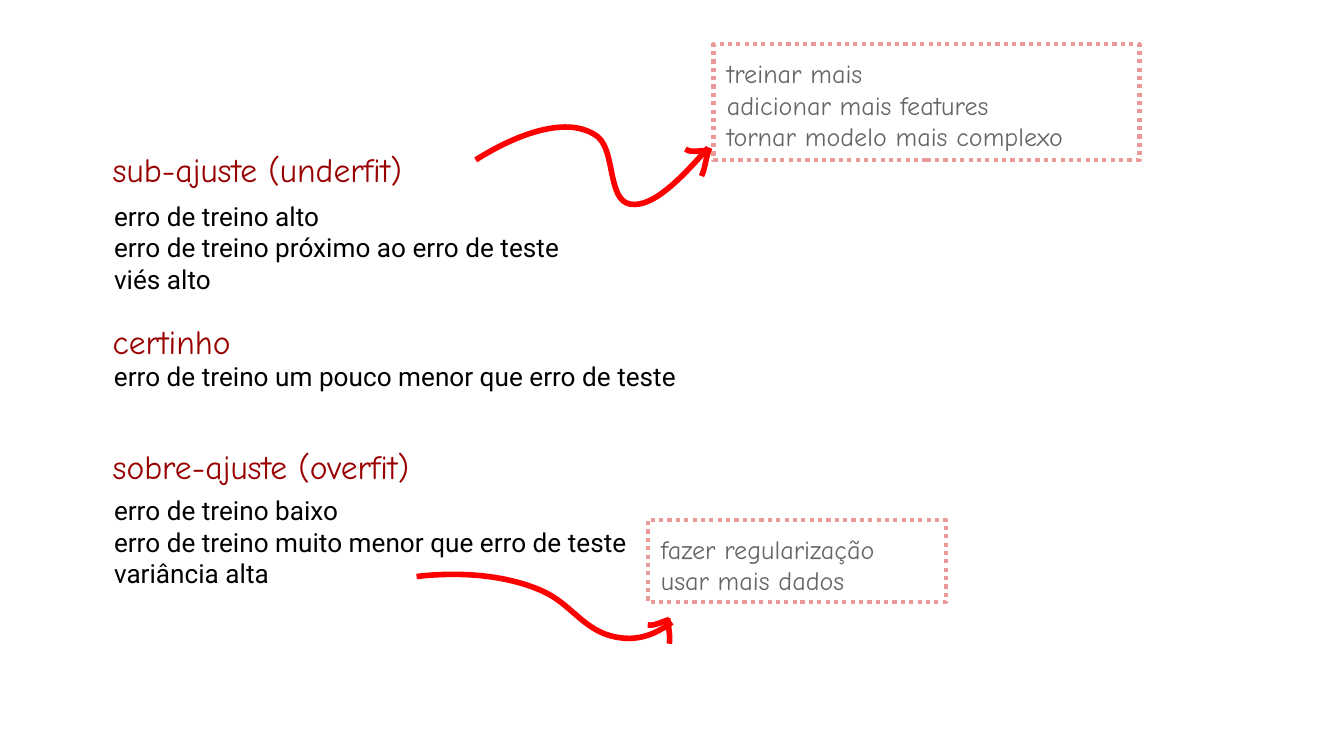
from dataclasses import dataclass

from lxml.etree import SubElement
from pptx import Presentation
from pptx.dml.color import RGBColor
from pptx.enum.dml import MSO_LINE_DASH_STYLE as Dash
from pptx.enum.shapes import MSO_SHAPE as ShapeKind
from pptx.enum.text import MSO_ANCHOR as Anchor, PP_ALIGN as Align
from pptx.oxml.ns import qn
from pptx.util import Pt

COLORS = {
    "heading": "990000",
    "body": "000000",
    "remedy": "666666",
    "border": "EA9999",
    "arrow": "FF0000",
}
HAND_FONT, BODY_FONT = "Comic Neue", "Roboto"
HEADING_SIZE, BODY_SIZE = 18, 14
INSET = 7.2
HEADING_LEFT, BODY_LEFT = 53.3, 54

Point = tuple[float, float]


@dataclass(frozen=True)
class TextBlock:
    """Paragraphs in a box; a newline inside a paragraph is a line break."""
    left: float
    top: float
    width: float
    height: float
    paragraphs: tuple[str, ...]


@dataclass(frozen=True)
class Curve:
    """A start point followed by three points per Bézier segment."""
    points: tuple[Point, ...]


HEADINGS = (
    TextBlock(HEADING_LEFT, 164.9, 92.2, 48.2, ("certinho",)),
    TextBlock(HEADING_LEFT, 231.8, 261.4, 43.9, ("sobre-ajuste (overfit)",)),
    TextBlock(HEADING_LEFT, 72.7, 257.8, 35.3, ("sub-ajuste (underfit)",)),
)
SYMPTOMS = (
    TextBlock(BODY_LEFT, 100.1, 293.8, 58.3, (
        "erro de treino alto",
        "erro de treino próximo ao erro de teste",
        "viés alto",
    )),
    TextBlock(BODY_LEFT, 185.8, 414.7, 48.2, (
        "erro de treino um pouco menor que erro de teste",
    )),
    TextBlock(BODY_LEFT, 257.8, 349.2, 61.9, (
        "erro de treino baixo",
        "erro de treino muito menor que erro de teste",
        "variância alta",
    )),
)
REMEDIES = (
    TextBlock(382.3, 23.8, 228.2, 61.9, (
        "treinar mais\nadicionar mais features",
        "tornar modelo mais complexo",
    )),
    TextBlock(347, 278.6, 159.8, 43.9, (
        "fazer regularização",
        "usar mais dados",
    )),
)
ARROW_STROKES = (
    # Underfit arrow: shaft and two barbs
    Curve(((254.9, 85.7), (276.5, 72), (304.6, 61.2), (320.4, 73.4),
           (329.8, 81.4), (325.4, 107.3), (337.7, 109.4),
           (350.6, 111.6), (367.2, 92.9), (379.4, 79.2))),
    Curve(((380.2, 79.2), (378, 84.2), (378, 90), (375.8, 94.3))),
    Curve(((378.7, 80.6), (375.1, 80.6), (370.8, 82.1), (367.2, 79.9))),
    # Overfit arrow: shaft and two barbs
    Curve(((223.2, 308.9), (241.2, 306.7), (268.6, 306.7), (290.9, 316.8),
           (305.3, 323.3), (311.8, 336.2), (326.9, 340.6),
           (342.7, 344.9), (352.8, 338.4), (360, 333.4))),
    Curve(((357.8, 331.2), (357.8, 335.5), (359.3, 340.6), (358.6, 344.9))),
    Curve(((358.6, 331.9), (355, 332.6), (351.4, 335.5), (347, 334.8))),
)


def rgb(name: str) -> RGBColor:
    return RGBColor.from_string(COLORS[name])


def write_text(shape, block: TextBlock, font_name: str, size: float, color: str) -> None:
    frame = shape.text_frame
    frame.word_wrap = True
    frame.vertical_anchor = Anchor.TOP
    frame.margin_left = frame.margin_right = Pt(INSET)
    frame.margin_top = frame.margin_bottom = Pt(INSET)
    for index, text in enumerate(block.paragraphs):
        paragraph = frame.add_paragraph() if index else frame.paragraphs[0]
        paragraph.alignment = Align.LEFT
        for line_index, line in enumerate(text.split("\n")):
            if line_index:
                paragraph.add_line_break()
            run = paragraph.add_run()
            run.text = line
            run.font.name = font_name
            run.font.size = Pt(size)
            run.font.color.rgb = rgb(color)


def box_lengths(block: TextBlock) -> tuple[Pt, ...]:
    return tuple(Pt(v) for v in (block.left, block.top, block.width, block.height))


def add_label(slide, block: TextBlock, font_name: str, size: float, color: str) -> None:
    write_text(slide.shapes.add_textbox(*box_lengths(block)), block, font_name, size, color)


def add_remedy(slide, block: TextBlock) -> None:
    shape = slide.shapes.add_shape(ShapeKind.RECTANGLE, *box_lengths(block))
    shape.shadow.inherit = False
    shape.fill.background()
    shape.line.color.rgb = rgb("border")
    shape.line.width = Pt(2.25)
    shape.line.dash_style = Dash.ROUND_DOT
    write_text(shape, block, HAND_FONT, BODY_SIZE, "remedy")


def add_curve(slide, curve: Curve) -> None:
    start, *controls = [(Pt(x), Pt(y)) for x, y in curve.points]
    builder = slide.shapes.build_freeform(*start)
    builder.add_line_segments(controls, close=False)
    shape = builder.convert_to_shape()
    shape.shadow.inherit = False
    shape.fill.background()
    shape.line.color.rgb = rgb("arrow")
    shape.line.width = Pt(3)

    # Turn each group of three straight steps into one Bézier segment
    outline = shape.element.find(".//" + qn("a:path"))
    steps = outline.findall(qn("a:lnTo"))
    for first in range(0, len(steps), 3):
        segment = SubElement(outline, qn("a:cubicBezTo"))
        for step in steps[first:first + 3]:
            segment.append(step[0])
            outline.remove(step)


def main() -> None:
    presentation = Presentation()
    presentation.slide_width, presentation.slide_height = Pt(720), Pt(405)
    slide = presentation.slides.add_slide(presentation.slide_layouts[6])

    # Headings and symptoms of each fit
    for block in HEADINGS:
        add_label(slide, block, HAND_FONT, HEADING_SIZE, "heading")
    for block in SYMPTOMS:
        add_label(slide, block, BODY_FONT, BODY_SIZE, "body")

    # Remedies and the hand-drawn arrows to them
    for block in REMEDIES:
        add_remedy(slide, block)
    for curve in ARROW_STROKES:
        add_curve(slide, curve)

    presentation.save("out.pptx")


if __name__ == "__main__":
    main()
